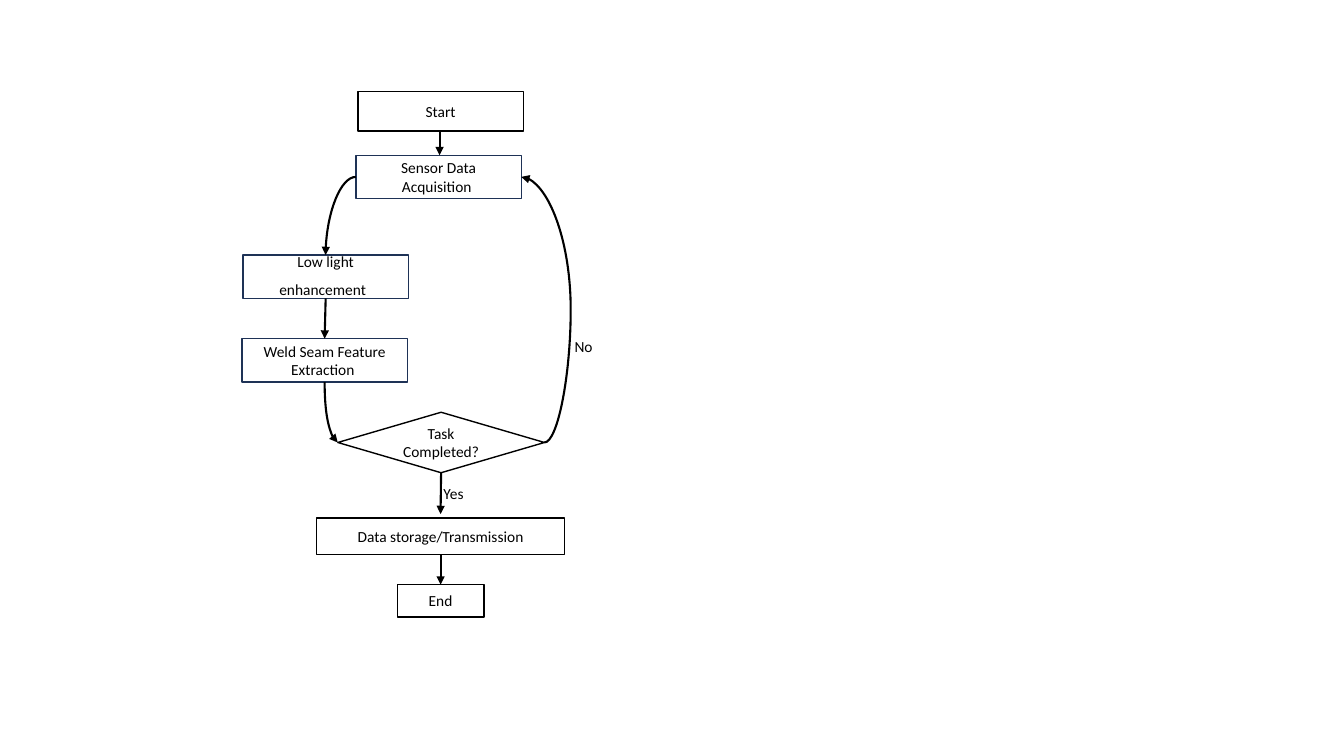
from dataclasses import dataclass
from typing import Any, Optional

from lxml import etree
from pptx import Presentation
from pptx import util as u
from pptx.dml.color import RGBColor
from pptx.enum import shapes, text
from pptx.oxml import ns

PX = 9144
TOP, LEFT, BOTTOM, RIGHT = range(4)
RECT = shapes.MSO_SHAPE.RECTANGLE
DIAMOND = shapes.MSO_SHAPE.DIAMOND
LINE = shapes.MSO_CONNECTOR.STRAIGHT
CURVE = shapes.MSO_CONNECTOR.CURVE


@dataclass(frozen=True)
class Theme:
    ink: RGBColor = RGBColor(0, 0, 0)
    navy: RGBColor = RGBColor(0x1E, 0x32, 0x56)
    paper: RGBColor = RGBColor(255, 255, 255)
    font: str = "Calibri"
    size: int = 11
    large: int = 18
    edge: float = 1
    arrow: float = 1.5


@dataclass(frozen=True)
class Node:
    key: str
    words: str
    x: int
    y: int
    w: int
    h: int
    edge: RGBColor
    kind: Any = RECT
    tail: str = ""


@dataclass(frozen=True)
class Label:
    words: str
    x: int
    y: int
    w: int
    h: int


@dataclass(frozen=True)
class Link:
    start: tuple[int, int]
    end: tuple[int, int]
    head: Optional[tuple[str, int]] = None
    tail: Optional[tuple[str, int]] = None
    preset: str = ""
    bend: Optional[int] = None
    turned: bool = False


THEME = Theme()

NODES = [
    Node("start", "Start", 355, 91, 164, 39, THEME.ink),
    Node("sensor", "Sensor Data Acquisition ", 353, 154, 164, 43, THEME.navy),
    Node("light", "Low light enhancement", 241, 253, 164, 43, THEME.navy, tail=" "),
    Node("weld", "Weld Seam Feature Extraction ", 240, 336, 164, 43, THEME.navy),
    Node("task", "Task Completed?", 335, 409, 205, 60, THEME.ink, DIAMOND),
    Node("store", "Data storage/Transmission", 314, 514, 246, 36, THEME.ink),
    Node("end", "End", 394, 580, 86, 32, THEME.ink),
]

LABELS = [
    Label("Yes", 430, 475, 48, 29),
    Label("No", 560, 329, 46, 29),
]

LINKS = [
    Link((436, 129), (436, 154)),
    Link((323, 296), (323, 336), ("light", BOTTOM), ("weld", TOP)),
    Link((353, 176), (323, 253), ("sensor", LEFT), ("light", TOP), "curvedConnector2"),
    Link((323, 379), (335, 439), ("weld", BOTTOM), ("task", LEFT), "curvedConnector2", turned=True),
    Link((540, 439), (518, 176), ("task", RIGHT), ("sensor", RIGHT), "curvedConnector3", -113600),
    Link((437, 469), (437, 510), ("task", BOTTOM)),
    Link((437, 550), (437, 580), ("store", BOTTOM), ("end", TOP)),
]


def px(*vals: int) -> list[int]:
    return [u.Emu(val * PX) for val in vals]


def style(item: Any, **form: Any) -> None:
    for name, val in form.items():
        setattr(item, name, val)


def add_run(para: Any, words: str, size: int) -> None:
    run = para.add_run()
    run.text = words
    style(run.font, name=THEME.font, size=u.Pt(size))
    run.font.color.rgb = THEME.ink


def add_node(slide: Any, node: Node) -> Any:
    shape = slide.shapes.add_shape(node.kind, *px(node.x, node.y, node.w, node.h))
    shape.shadow.inherit = False
    shape.fill.solid()
    shape.fill.fore_color.rgb = THEME.paper
    shape.line.color.rgb = node.edge
    shape.line.width = u.Pt(THEME.edge)
    style(shape.text_frame, word_wrap=True, vertical_anchor=text.MSO_ANCHOR.MIDDLE)
    para = shape.text_frame.paragraphs[0]
    para.alignment = text.PP_ALIGN.CENTER
    add_run(para, node.words, THEME.size)
    if node.tail:
        add_run(para, node.tail, THEME.large)
    return shape


def add_label(slide: Any, label: Label) -> None:
    box = slide.shapes.add_textbox(*px(label.x, label.y, label.w, label.h))
    style(box.text_frame, word_wrap=True, auto_size=text.MSO_AUTO_SIZE.SHAPE_TO_FIT_TEXT)
    add_run(box.text_frame.paragraphs[0], label.words, THEME.size)


def turn(line: Any) -> None:
    mid_x = (line.begin_x + line.end_x) // 2
    mid_y = (line.begin_y + line.end_y) // 2
    wide, high = line.height, line.width
    style(line, left=mid_x - wide // 2, top=mid_y - high // 2, width=wide, height=high)
    frame = line._element.spPr.find(ns.qn("a:xfrm"))
    frame.set("rot", "16200000")
    frame.set("flipH", "1")


def add_link(slide: Any, link: Link, boxes: dict[str, Any]) -> None:
    kind = CURVE if link.preset else LINE
    line = slide.shapes.add_connector(kind, *px(*link.start, *link.end))
    for join, site in ((line.begin_connect, link.head), (line.end_connect, link.tail)):
        if site:
            join(boxes[site[0]], site[1])
    line.line.color.rgb = THEME.ink
    line.line.width = u.Pt(THEME.arrow)
    props = line._element.spPr
    etree.SubElement(props.find(ns.qn("a:ln")), ns.qn("a:tailEnd"), type="triangle")
    etree.SubElement(props, ns.qn("a:effectLst"))
    if link.preset:
        shape = props.find(ns.qn("a:prstGeom"))
        shape.set("prst", link.preset)
        if link.bend is not None:
            guides = shape.find(ns.qn("a:avLst"))
            etree.SubElement(guides, ns.qn("a:gd"), name="adj1", fmla=f"val {link.bend}")
    if link.turned:
        turn(line)


def main() -> None:
    deck = Presentation()
    style(deck, slide_width=u.Inches(13.33), slide_height=u.Inches(7.5))
    slide = deck.slides.add_slide(deck.slide_layouts[6])
    boxes = {node.key: add_node(slide, node) for node in NODES}
    for link in LINKS:
        add_link(slide, link, boxes)
    for label in LABELS:
        add_label(slide, label)
    deck.save("out.pptx")


if __name__ == "__main__":
    main()
